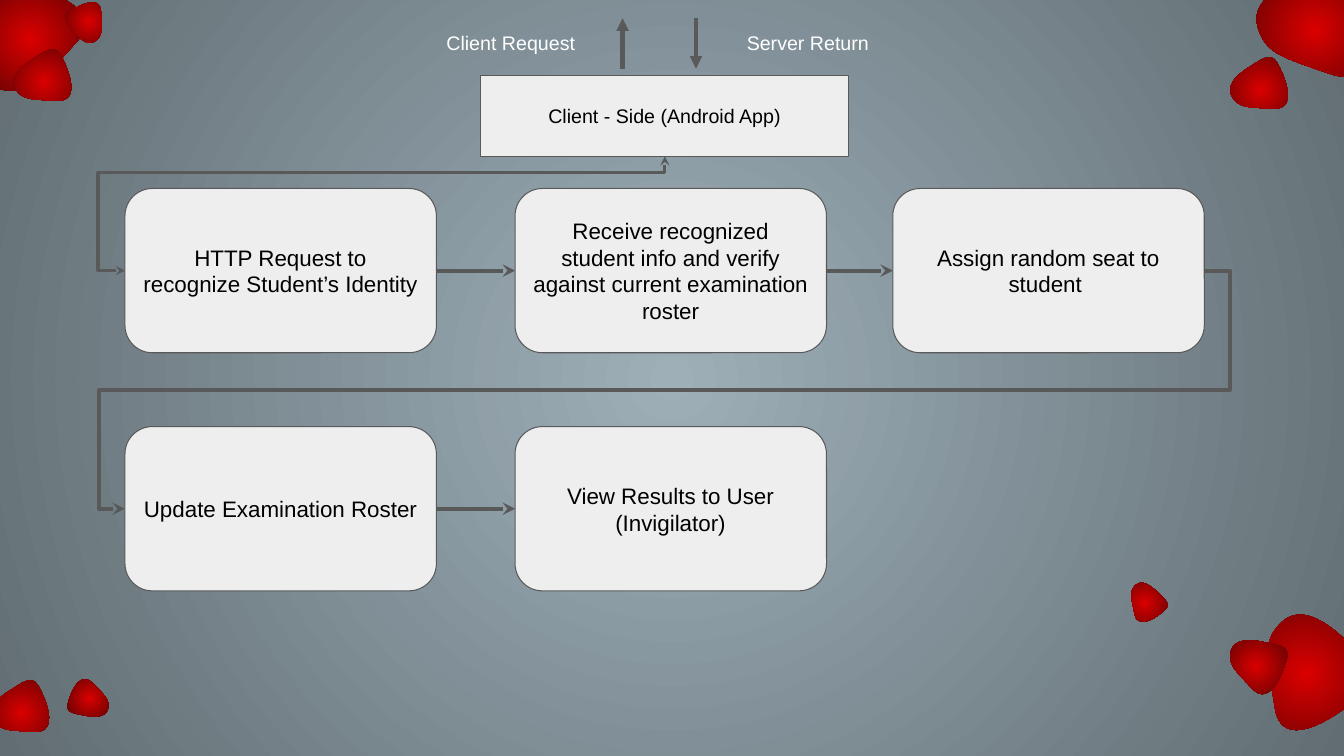
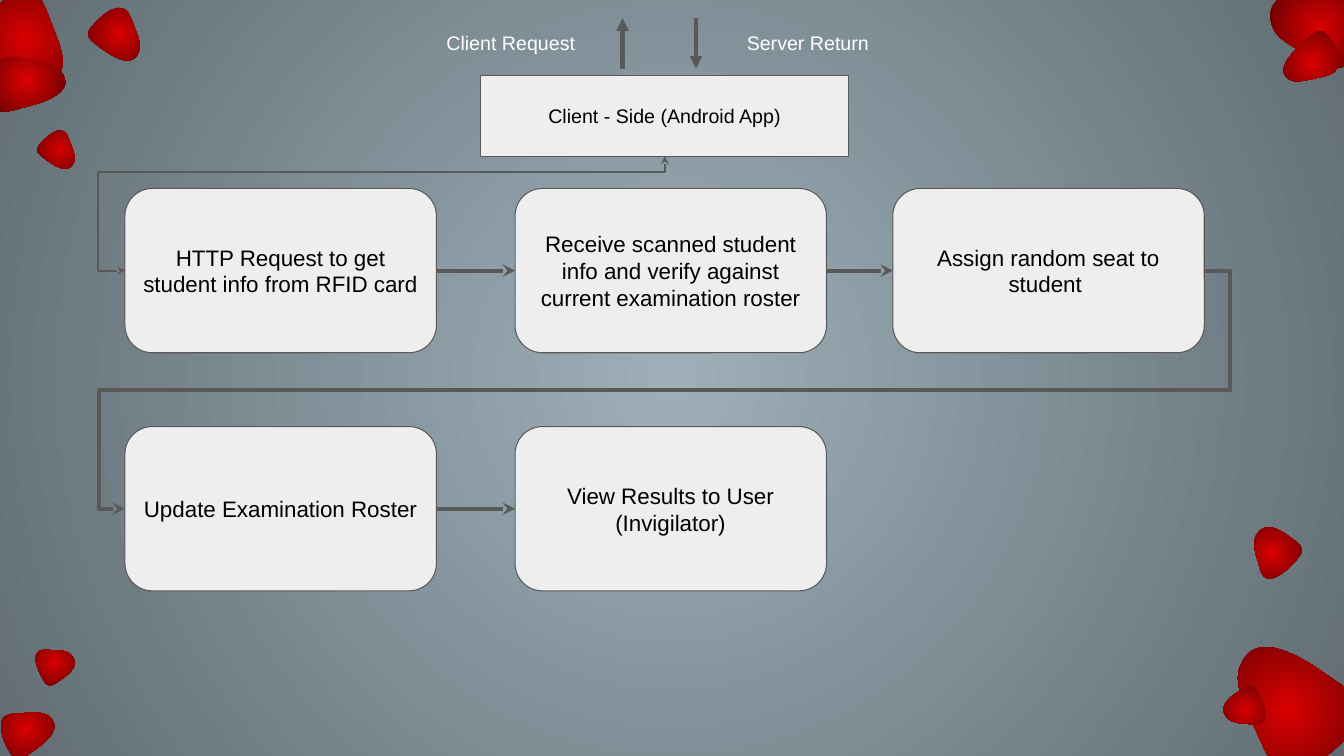
from lxml.etree import SubElement
from pptx import Presentation
from pptx.dml.color import RGBColor
from pptx.enum.shapes import MSO_CONNECTOR, MSO_SHAPE
from pptx.enum.text import MSO_ANCHOR, MSO_AUTO_SIZE, PP_ALIGN
from pptx.oxml.ns import qn
from pptx.util import Cm, Pt

WHITE, BLACK = "FFFFFF", "000000"
BOX_FILL, LINE = "EEEEEE", "595959"
BACKGROUND = ("9EAFB8", "616D73")
PETAL = ("DB0000", "540303")

FRAME = {
    "word_wrap": True,
    "margin_left": Cm(0.25),
    "margin_right": Cm(0.26),
    "margin_top": Cm(0.25),
    "margin_bottom": Cm(0.25),
}
BOX_FRAME = {**FRAME, "vertical_anchor": MSO_ANCHOR.MIDDLE}
LABEL_FRAME = {**FRAME, "auto_size": MSO_AUTO_SIZE.SHAPE_TO_FIT_TEXT}

COLUMNS = (3.15, 12.98, 22.5)
ROWS = (4.75, 10.75)
STEP_WIDTH, STEP_HEIGHT = 7.85, 4.14

LABELS = ((11, "Client Request"), (18.57, "Server Return"))
ARROWS = ((17.54, 0.46, 1.73), (15.69, 1.73, 0.46))

PETAL_SIZE = 100
PETAL_START = (5.5, 52.3)
PETAL_CURVES = (
    ((34, 14), (41.5, 0), (67.3, 0)),
    ((93.2, 0), (98.7, 29), (99.3, 52.3)),
    ((98.7, 75.4), (104.7, 100), (79, 100)),
    ((53.7, 100), (-22.4, 90), PETAL_START),
)
PETAL_UNITS = 1000

SLIDES = (
    {
        "request": "HTTP Request to recognize Student’s Identity",
        "verify": "Receive recognized student info and verify against current examination roster",
        "return_width": 2.25,
        "petals": (
            (31.6, 15.62, 2.64, 2.72, 315),
            (31.01, 16.08, 1.3, 1.42, 282.4),
            (28.42, 14.71, 0.86, 0.97, 315),
            (31.8, -0.61, 2.67, 2.72, 253.2),
            (31.12, 1.55, 1.3, 1.42, 238.6),
            (-0.56, -0.38, 2.64, 2.72, 186.6),
            (0.46, 1.35, 1.3, 1.42, 238.6),
            (1.78, 0.05, 0.91, 0.99, 143.1),
            (-0.1, 17.25, 1.3, 1.42, 238.6),
            (1.8, 17.09, 0.91, 1.02, 101.7),
        ),
    },
    {
        "request": "HTTP Request to get student info from RFID card",
        "verify": "Receive scanned student info and verify against current examination roster",
        "return_width": 1.5,
        "petals": (
            (31.17, 16.23, 2.59, 3.3, 305.4),
            (31.47, 13.34, 1.19, 1.19, 306.6),
            (32.23, -0.53, 2.06, 2.44, 265.7),
            (30.89, 17.4, 0.99, 0.99, 237.8),
            (32.54, 0.84, 1.07, 1.47, 228.5),
            (-0.38, -0.23, 2.06, 2.44, 126.5),
            (2.44, 0.18, 1.14, 1.35, 126.3),
            (1.09, 3.28, 0.84, 0.97, 126),
            (0, 1.07, 1.32, 1.9, 75.3),
            (0.1, 17.7, 1.12, 1.35, 55),
            (0.91, 16.23, 0.91, 0.94, 55.8),
        ),
    },
)


def colour(value):
    return RGBColor.from_string(value)


def fill_radial(fill, element, stops):
    fill.gradient()
    for stop, value in zip(fill.gradient_stops, stops):
        stop.color.rgb = colour(value)
    gradient = element.xpath(".//a:gradFill")[0]
    gradient.remove(gradient.find(qn("a:lin")))
    circle = SubElement(gradient, qn("a:path"), {"path": "circle"})
    SubElement(circle, qn("a:fillToRect"), dict.fromkeys("ltrb", "50000"))


presentation = Presentation()
presentation.slide_width = Cm(33.87)
presentation.slide_height = Cm(19.05)
master = presentation.slide_master
fill_radial(master.background.fill, master.element, BACKGROUND)

for content in SLIDES:
    slide = presentation.slides.add_slide(presentation.slide_layouts[6])
    shapes = slide.shapes

    steps = (
        (0, 0, content["request"]),
        (1, 0, content["verify"]),
        (2, 0, "Assign random seat to student "),
        (0, 1, "Update Examination Roster"),
        (1, 1, "View Results to User (Invigilator)"),
    )
    box_specs = [
        (MSO_SHAPE.ROUNDED_RECTANGLE, COLUMNS[column], ROWS[row], STEP_WIDTH, STEP_HEIGHT, text, 16)
        for column, row, text in steps
    ]
    box_specs.append((MSO_SHAPE.RECTANGLE, 12.12, 1.9, 9.27, 2.04, "Client - Side (Android App)", 14))

    boxes = []
    texts = []
    for preset, left, top, width, height, text, size in box_specs:
        box = shapes.add_shape(preset, Cm(left), Cm(top), Cm(width), Cm(height))
        box.shadow.inherit = False
        box.fill.solid()
        box.fill.fore_color.rgb = colour(BOX_FILL)
        box.line.color.rgb = colour(LINE)
        box.line.width = Pt(0.75)
        boxes.append(box)
        texts.append((box, text, size, BLACK, PP_ALIGN.CENTER, BOX_FRAME))

    for left, text in LABELS:
        label = shapes.add_textbox(Cm(left), Cm(0.54), Cm(3.94), Cm(1.12))
        texts.append((label, text, 14, WHITE, PP_ALIGN.LEFT, LABEL_FRAME))

    for shape, text, size, text_colour, alignment, frame_format in texts:
        frame = shape.text_frame
        for name, value in frame_format.items():
            setattr(frame, name, value)
        paragraph = frame.paragraphs[0]
        paragraph.text = text
        paragraph.alignment = alignment
        for name, value in {"name": "Arial", "size": Pt(size)}.items():
            setattr(paragraph.font, name, value)
        paragraph.font.color.rgb = colour(text_colour)

    request, verify, assign, update, results, client = boxes
    joins = (
        (request, 3, verify, 1, 3, ("tailEnd",), None, ()),
        (verify, 3, assign, 1, 3, ("tailEnd",), None, ()),
        (update, 3, results, 1, 3, ("tailEnd",), None, ()),
        (assign, 3, update, 1, 3, ("tailEnd",), "bentConnector5", (-2400, 50000, 102400)),
        (request, 1, client, 2, content["return_width"], ("headEnd", "tailEnd"),
         "bentConnector4", (-4950, 85900)),
    )
    connectors = []
    for source, source_side, target, target_side, width, ends, bend, adjustments in joins:
        kind = MSO_CONNECTOR.ELBOW if bend else MSO_CONNECTOR.STRAIGHT
        connector = shapes.add_connector(kind, 0, 0, 0, 0)
        connector.begin_connect(source, source_side)
        connector.end_connect(target, target_side)
        if bend:
            geometry = connector.element.xpath("./p:spPr/a:prstGeom")[0]
            geometry.set("prst", bend)
            guides = geometry.find(qn("a:avLst"))
            for number, value in enumerate(adjustments, 1):
                SubElement(guides, qn("a:gd"), {"name": f"adj{number}", "fmla": f"val {value}"})
        connectors.append((connector, width, ends, "stealth"))

    for x, begin_y, end_y in ARROWS:
        arrow = shapes.add_connector(MSO_CONNECTOR.STRAIGHT, Cm(x), Cm(begin_y), Cm(x), Cm(end_y))
        connectors.append((arrow, 3, ("tailEnd",), "triangle"))

    for connector, width, ends, head in connectors:
        connector.line.color.rgb = colour(LINE)
        connector.line.width = Pt(width)
        properties = connector.element.xpath("./p:spPr")[0]
        for end in ends:
            SubElement(properties.find(qn("a:ln")), qn(f"a:{end}"), {"type": head})
        SubElement(properties, qn("a:effectLst"))

    for left, top, width, height, rotation in content["petals"]:
        builder = shapes.build_freeform(*PETAL_START, scale=PETAL_UNITS)
        builder.add_line_segments([curve[-1] for curve in PETAL_CURVES], close=False)
        petal = builder.convert_to_shape()
        placement = {
            "left": Cm(left),
            "top": Cm(top),
            "width": Cm(width),
            "height": Cm(height),
            "rotation": rotation,
        }
        for name, value in placement.items():
            setattr(petal, name, value)

        outline = petal.element.xpath(".//a:pathLst/a:path")[0]
        for child in list(outline):
            outline.remove(child)
        for side in ("w", "h"):
            outline.set(side, str(PETAL_SIZE * PETAL_UNITS))
        commands = [("moveTo", (PETAL_START,))]
        commands += [("cubicBezTo", curve) for curve in PETAL_CURVES]
        for command, points in commands + [("close", ())]:
            segment = SubElement(outline, qn(f"a:{command}"))
            for x, y in points:
                position = {"x": str(round(x * PETAL_UNITS)), "y": str(round(y * PETAL_UNITS))}
                SubElement(segment, qn("a:pt"), position)

        petal.shadow.inherit = False
        petal.line.fill.background()
        fill_radial(petal.fill, petal.element, PETAL)

presentation.save("out.pptx")
